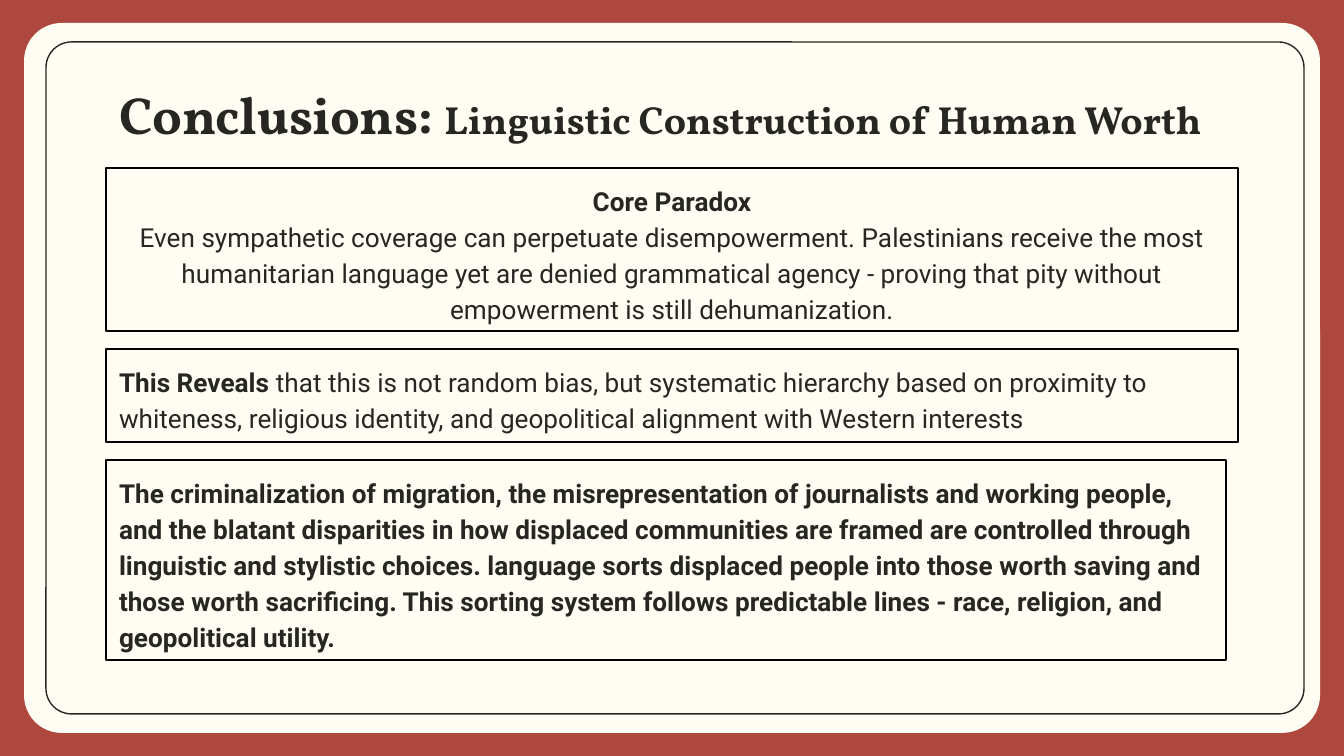
from dataclasses import dataclass

from pptx import Presentation
from pptx.dml.color import RGBColor
from pptx.enum.shapes import MSO_SHAPE
from pptx.enum.text import MSO_ANCHOR, PP_ALIGN
from pptx.util import Pt

PX = 914400 / 134.4


@dataclass(frozen=True)
class Theme:
    red: str = "AE483E"
    cream: str = "FFFCF3"
    ink: str = "262722"
    black: str = "000000"
    heading_font: str = "Vollkorn"
    body_font: str = "Roboto"
    heading: int = 28
    heading_gap: int = 30
    subheading: int = 21
    body: int = 14
    line: float = 0.75
    spacing: float = 1.15


T = Theme()

# Runs are (text, size, bold); a paragraph is a list of runs.
TITLE = [[
    ("Conclusions:", T.heading, True),
    (" ", T.heading_gap, True),
    ("Linguistic Construction of Human Worth", T.subheading, True),
]]
PARADOX = [
    [("Core Paradox", T.body, True)],
    [("Even sympathetic coverage can perpetuate disempowerment. Palestinians "
      "receive the most humanitarian language yet are denied grammatical agency "
      "- proving that pity without empowerment is still dehumanization.",
      T.body, False)],
]
REVEALS = [[
    ("This Reveals ", T.body, True),
    ("that this is not random bias, but systematic hierarchy based on proximity "
     "to whiteness, religious identity, and geopolitical alignment with Western "
     "interests", T.body, False),
]]
SORTING = [[
    ("The criminalization of migration, the misrepresentation of journalists and "
     "working people, and the blatant disparities in how displaced communities "
     "are framed are controlled through linguistic and stylistic choices. "
     "language sorts displaced people into those worth saving and those worth "
     "sacrificing. This sorting system follows predictable lines - race, "
     "religion, and geopolitical utility.", T.body, True),
]]

LEFT, WIDTH, INSET = 106, 1132, 13
TITLE_TOP, TITLE_HEIGHT = 66, 85
BOXES_TOP, BOX_GAP = 168, 18
# paragraphs, width, height, alignment
BOXES = [
    (PARADOX, WIDTH, 163, PP_ALIGN.CENTER),
    (REVEALS, WIDTH, 93, PP_ALIGN.LEFT),
    (SORTING, 1120, 200, PP_ALIGN.LEFT),
]
# left, top, width, height, corner ratio, fill, line
PANELS = [
    (24, 23, 1296, 710, 0.053, T.cream, None),
    (46, 42, 1258, 672, 0.038, None, T.ink),
]


def px(*values):
    return [round(v * PX) for v in values]


def add_box(slide, kind, box, fill=None, line=None):
    sp = slide.shapes.add_shape(kind, *px(*box))
    sp.shadow.inherit = False
    if fill:
        sp.fill.solid()
        sp.fill.fore_color.rgb = RGBColor.from_string(fill)
    else:
        sp.fill.background()
    if line:
        sp.line.color.rgb = RGBColor.from_string(line)
        sp.line.width = Pt(T.line)
    else:
        sp.line.fill.background()
    return sp


def write(sp, paragraphs, font=T.body_font, color=T.ink,
          align=PP_ALIGN.LEFT, spacing=None):
    tf = sp.text_frame
    tf.word_wrap = True
    tf.vertical_anchor = MSO_ANCHOR.TOP
    inset, = px(INSET)
    tf.margin_left = tf.margin_right = tf.margin_top = tf.margin_bottom = inset
    for i, runs in enumerate(paragraphs):
        p = tf.add_paragraph() if i else tf.paragraphs[0]
        p.alignment = align
        p.line_spacing = spacing
        for text, size, bold in runs:
            r = p.add_run()
            r.text = text
            r.font.name = font
            r.font.size = Pt(size)
            r.font.bold = bold
            r.font.color.rgb = RGBColor.from_string(color)


def main():
    prs = Presentation()
    prs.slide_width, prs.slide_height = px(1344, 756)
    s = prs.slides.add_slide(prs.slide_layouts[6])
    s.background.fill.solid()
    s.background.fill.fore_color.rgb = RGBColor.from_string(T.red)

    for *box, corner, fill, line in PANELS:
        sp = add_box(s, MSO_SHAPE.ROUNDED_RECTANGLE, box, fill, line)
        sp.adjustments[0] = corner

    title = s.shapes.add_textbox(*px(LEFT, TITLE_TOP, WIDTH, TITLE_HEIGHT))
    write(title, TITLE, font=T.heading_font)

    top = BOXES_TOP
    for paragraphs, width, height, align in BOXES:
        sp = add_box(s, MSO_SHAPE.RECTANGLE, (LEFT, top, width, height), line=T.black)
        write(sp, paragraphs, align=align, spacing=T.spacing)
        top += height + BOX_GAP

    prs.save("out.pptx")


if __name__ == "__main__":
    main()
